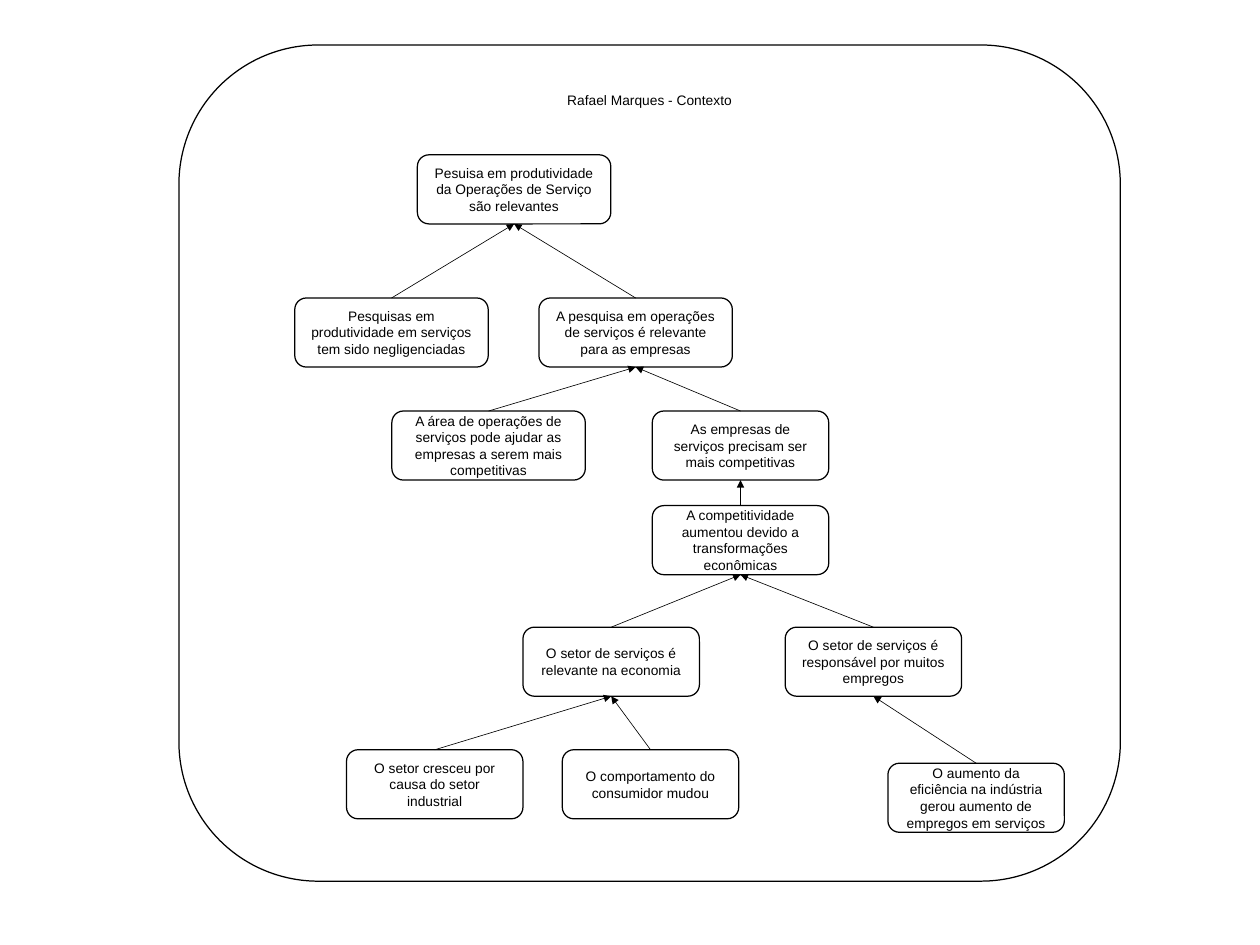
from lxml import etree
from pptx import Presentation
from pptx.dml.color import RGBColor
from pptx.enum.shapes import MSO_CONNECTOR, MSO_SHAPE
from pptx.enum.text import MSO_ANCHOR, PP_ALIGN
from pptx.oxml.ns import qn
from pptx.util import Cm, Pt

ROUNDED = MSO_SHAPE.ROUNDED_RECTANGLE
STRAIGHT = MSO_CONNECTOR.STRAIGHT
TOP, MIDDLE = MSO_ANCHOR.TOP, MSO_ANCHOR.MIDDLE
CENTER = PP_ALIGN.CENTER
COLORS = {"paper": "FFFFFF", "ink": "000000"}
TOP_SITE, BOTTOM_SITE = 0, 2

# Box sizes and row tops, in cm
WIDE, NARROW, HEIGHT = 5.46, 4.98, 1.95
ROWS = [4.37, 8.41, 11.6, 14.27, 17.7, 21.16, 21.54]

# key: (centre x, row, width, text, key of the claim it supports)
CLAIMS = {
    "relevance": (14.51, 0, WIDE, "Pesuisa em produtividade da Operações de Serviço "
                  "são relevantes", None),
    "neglect": (11.05, 1, WIDE, "Pesquisas em produtividade em serviços tem sido "
                "negligenciadas", "relevance"),
    "companies": (17.94, 1, WIDE, "A pesquisa em operações de serviços é relevante "
                  "para as empresas", "relevance"),
    "help": (13.79, 2, WIDE, "A área de operações de serviços pode ajudar as "
             "empresas a serem mais competitivas", "companies"),
    "need": (20.9, 2, NARROW, "As empresas de serviços precisam ser mais "
             "competitivas", "companies"),
    "competition": (20.9, 3, NARROW, "A competitividade aumentou devido a "
                    "transformações econômicas", "need"),
    "economy": (17.25, 4, NARROW, "O setor de serviços é relevante na economia",
                "competition"),
    "jobs": (24.65, 4, NARROW, "O setor de serviços é responsável por muitos "
             "empregos", "competition"),
    "industry": (12.27, 5, NARROW, "O setor cresceu por causa do setor industrial",
                 "economy"),
    "consumer": (18.36, 5, NARROW, "O comportamento do consumidor mudou", "economy"),
    "efficiency": (27.55, 6, NARROW, "O aumento da eficiência na indústria gerou "
                   "aumento de empregos em serviços", "jobs"),
}


def color(name):
    return RGBColor.from_string(COLORS[name])


def add_box(slide, left, top, width, height, text, anchor=MIDDLE):
    box = slide.shapes.add_shape(ROUNDED, Cm(left), Cm(top), Cm(width), Cm(height))
    box.shadow.inherit = False
    box.fill.solid()
    box.fill.fore_color.rgb = color("paper")
    box.line.color.rgb = color("ink")
    box.line.width = Pt(1)
    frame = box.text_frame
    frame.word_wrap = True
    frame.vertical_anchor = anchor
    frame.margin_left = frame.margin_right = Cm(0.36)
    frame.margin_top = frame.margin_bottom = Cm(0.18)
    paragraph = frame.paragraphs[0]
    paragraph.text = text
    paragraph.alignment = CENTER
    paragraph.font.name = "Arial"
    paragraph.font.size = Pt(11)
    paragraph.font.color.rgb = color("ink")
    return box


def add_support_arrow(slide, reason, conclusion):
    arrow = slide.shapes.add_connector(STRAIGHT, 0, 0, 0, 0)
    arrow.begin_connect(reason, TOP_SITE)
    arrow.end_connect(conclusion, BOTTOM_SITE)
    arrow.line.color.rgb = color("ink")
    arrow.line.width = Pt(0.5)
    # Arrowhead at the conclusion, and no shadow
    properties = arrow.element.spPr
    line = properties.find(qn("a:ln"))
    etree.SubElement(line, qn("a:tailEnd"), type="triangle")
    etree.SubElement(properties, qn("a:effectLst"))


def main():
    deck = Presentation()
    deck.slide_width, deck.slide_height = Cm(35.56), Cm(26.67)
    slide = deck.slides.add_slide(deck.slide_layouts[6])

    # Outer frame with its heading
    add_box(slide, 5.05, 1.27, 26.57, 23.6, "Rafael Marques - Contexto", TOP)

    # Claims, each linked to the one it supports
    boxes = {}
    for key, (center, row, width, text, conclusion) in CLAIMS.items():
        boxes[key] = add_box(slide, center - width / 2, ROWS[row], width, HEIGHT, text)
        if conclusion:
            add_support_arrow(slide, boxes[key], boxes[conclusion])

    deck.save("out.pptx")


main()
